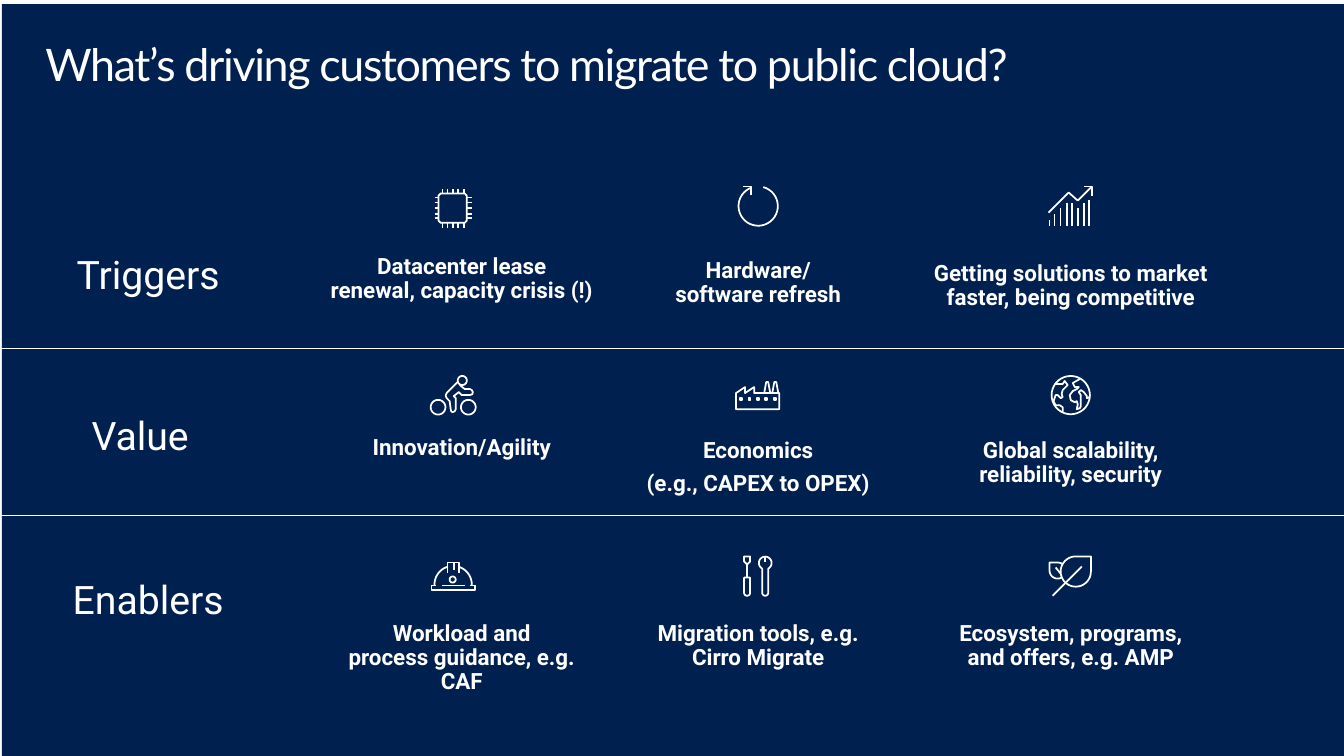
"""Build a slide on the triggers, value and enablers of cloud migration."""
from math import cos, radians, sin

from lxml.etree import SubElement
from pptx import Presentation
from pptx.dml.color import RGBColor
from pptx.enum.shapes import MSO_CONNECTOR, MSO_SHAPE
from pptx.enum.text import MSO_AUTO_SIZE, PP_ALIGN
from pptx.oxml.ns import qn
from pptx.util import Inches, Pt

NAVY = RGBColor(0x00, 0x20, 0x50)
WHITE = RGBColor(0xFF, 0xFF, 0xFF)
WIDTH, HEIGHT = 13.33, 7.5


def add_text(place, paragraphs, size, font="Roboto", bold=False, centred=True, inset=(0.19, 0.15)):
    """Add a text box; a newline inside a paragraph is a line break."""
    box = slide.shapes.add_textbox(*[Inches(length) for length in place])
    frame = box.text_frame
    frame.word_wrap = True
    frame.auto_size = MSO_AUTO_SIZE.SHAPE_TO_FIT_TEXT if centred else MSO_AUTO_SIZE.NONE
    frame.margin_left = frame.margin_right = Inches(inset[0])
    frame.margin_top = frame.margin_bottom = Inches(inset[1])
    for index, text in enumerate(paragraphs):
        paragraph = frame.add_paragraph() if index else frame.paragraphs[0]
        paragraph.line_spacing = 0.9
        if centred:
            paragraph.alignment = PP_ALIGN.CENTER
            paragraph.space_after = Pt(5.8)
        for number, line in enumerate(text.split("\n")):
            if number:
                paragraph.add_line_break()
            run = paragraph.add_run()
            run.text = line
            run.font.name = font
            run.font.size = Pt(size)
            run.font.bold = bold
            run.font.color.rgb = WHITE
    return box


def arc(x, y, radius, start=0, end=360):
    """Return points on a clockwise arc, with angles from the right."""
    angles = [radians(start + (end - start) * step / 36) for step in range(37)]
    return [(x + radius * cos(angle), y + radius * sin(angle)) for angle in angles]


presentation = Presentation()
presentation.slide_width = Inches(WIDTH)
presentation.slide_height = Inches(HEIGHT)
slide = presentation.slides.add_slide(presentation.slide_layouts[6])

background = slide.shapes.add_shape(
    MSO_SHAPE.RECTANGLE, Inches(0.02), Inches(0.04), Inches(WIDTH), Inches(HEIGHT))
background.shadow.inherit = False
background.fill.solid()
background.fill.fore_color.rgb = NAVY
background.line.fill.background()

title = add_text((0.29, 0.32, 12.75, 0.98), ["What’s driving customers to migrate to public cloud?"],
                 32, font="Lato", centred=False, inset=(0.16, 0.1))
title.text_frame.paragraphs[0].runs[0].font._element.set("spc", "-100")

for label, left, top in [("Triggers", 0.35, 2.39), ("Value", 0.27, 3.98), ("Enablers", 0.35, 5.61)]:
    add_text((left, top, 2.24, 0.73), [label], 28)

COLUMN_CENTRES = (4.58, 7.52, 10.62)
driver_rows = [
    [(2.38, 3.04, 0.8, ["Datacenter lease\nrenewal, capacity crisis (!)"]),
     (2.42, 3.04, 0.8, ["Hardware/\nsoftware refresh"]),
     (2.45, 3.35, 0.8, ["Getting solutions to market\nfaster, being competitive"])],
    [(4.21, 2.31, 0.55, ["Innovation/Agility"]),
     (4.21, 3.1, 0.88, ["Economics", "(e.g., CAPEX to OPEX)"]),
     (4.21, 2.64, 0.8, ["Global scalability,\nreliability, security"])],
    [(6.02, 2.87, 1.04, ["Workload and\nprocess guidance, e.g. CAF"]),
     (6.02, 2.51, 0.8, ["Migration tools, e.g. Cirro Migrate"]),
     (6.02, 3.22, 0.8, ["Ecosystem, programs,\nand offers, e.g. AMP"])],
]
for drivers in driver_rows:
    for centre, (top, width, height, paragraphs) in zip(COLUMN_CENTRES, drivers):
        add_text((centre - width / 2, top, width, height), paragraphs, 16, bold=True)

chip = [[(9, 7), (33, 7), (35, 9), (35, 34), (33, 36), (9, 36), (7, 34), (7, 9), (9, 7)]]
for x in (11, 16, 21, 26, 32):
    chip += [[(x, 3), (x, 7)], [(x, 36), (x, 41)]]
for y in (11, 16, 21, 27, 31):
    chip += [[(3, y), (7, y)], [(35, y), (40, y)]]

refresh = [arc(22, 19.5, 19.5, -75, 251), [(15, 9), (15, 0), (7, 0)]]

growth = [[(43, 0), (29, 14), (20, 6), (0, 26)], [(43, 9), (43, 0), (35, 0)]]
for x, top in zip((1, 6, 12, 18, 23, 29, 35, 40), (33, 27, 21, 16, 16, 21, 16, 13)):
    growth.append([(x, 39), (x, top)])

cyclist = [
    arc(6.5, 31, 7.3), arc(36.5, 31, 7.3), arc(30.5, 4.5, 4.5),
    [(26, 6), (15, 17), (14, 19.5), (15, 22), (18, 25), (19, 33), (19.5, 35), (21, 36),
     (23, 35), (24, 33), (24, 22), (22, 20), (27, 16), (30, 19), (38, 19), (40.5, 18),
     (41, 16), (40, 14), (38, 13), (33, 13), (28, 9)],
]

factory = [[(43, 17), (43, 33), (0, 33), (0, 17), (9, 11), (9, 17), (18, 11), (18, 17), (43, 17)]]
for x in (28, 36):
    factory.append([(x, 17), (x + 2, 6), (x + 4, 6), (x + 6, 17)])
for x in (4, 12.5, 21, 29, 37.5):
    factory.append([(x, 22), (x + 2, 22), (x + 2, 24), (x, 24), (x, 22)])

globe = [
    arc(22, 19, 19),
    [(13, 36), (14, 35), (14, 31), (11, 29), (7, 29), (5, 25), (7, 19), (9, 19), (12, 22),
     (14, 21), (13, 18), (14, 14), (19, 9), (16, 5), (14, 8), (6, 8)],
    [(31, 3), (24, 7), (26, 11), (30, 11), (28, 13), (24, 15), (21, 19), (22, 24), (26, 26),
     (28, 25), (29, 28), (28, 33), (31, 32), (32, 30), (32, 19), (30, 16), (32, 14),
     (35, 16), (38, 20), (38, 22), (41, 21)],
]

helmet = [
    [(38, 29), (43, 29), (43, 33), (0, 33), (0, 29), (5, 29)], [(10, 29), (33, 29)],
    [(22, 6), (22, 14)], [(27, 17), (27, 6), (16, 6), (16, 17)],
    arc(21.5, 28, 18.5, -71, 3), arc(21.5, 28, 18.5, 177, 251), arc(21, 23, 3),
]

tools = [
    arc(29, 6.5, 6.3, 118, 422) + arc(29, 36, 3, 0, 180) + [(26, 12)], [(29, 0), (29, 6)],
    [(8, 21), (14, 21)] + arc(11, 36, 3, 0, 180) + [(8, 21)], [(11, 8), (11, 21)],
    [(14, 0), (8, 0), (8, 5), (11, 8), (14, 5), (14, 0)],
]

leaves = [
    [(42, 0)] + arc(27, 15, 15, 0, 270) + [(42, 0)], [(4, 39), (33, 10)], [(7, 11), (12, 17)],
    [(14, 8), (12, 6.5), (9, 6), (1, 6)] + arc(9, 14, 8, 180, 60),
]

ICON_LEFTS = (4.28, 7.3, 10.4)
ICON_TOPS = (1.85, 3.73, 5.52)
icon_rows = [(chip, refresh, growth), (cyclist, factory, globe), (helmet, tools, leaves)]
for top, icons in zip(ICON_TOPS, icon_rows):
    for left, strokes in zip(ICON_LEFTS, icons):
        placed = [[(Inches(left + x / 100), Inches(top + y / 100)) for x, y in stroke]
                  for stroke in strokes]
        builder = slide.shapes.build_freeform(*placed[0][0])
        for index, stroke in enumerate(placed):
            if index:
                builder.move_to(*stroke[0])
            builder.add_line_segments(stroke[1:], close=False)
        icon = builder.convert_to_shape()
        icon.shadow.inherit = False
        icon.fill.background()
        icon.line.color.rgb = WHITE
        icon.line.width = Pt(1.25)

for y in (3.46, 5.11):
    divider = slide.shapes.add_connector(
        MSO_CONNECTOR.STRAIGHT, 0, Inches(y), Inches(WIDTH), Inches(y))
    divider.line.color.rgb = WHITE
    divider.line.width = Pt(0.75)
    SubElement(divider._element.spPr, qn("a:effectLst"))

presentation.save("out.pptx")
